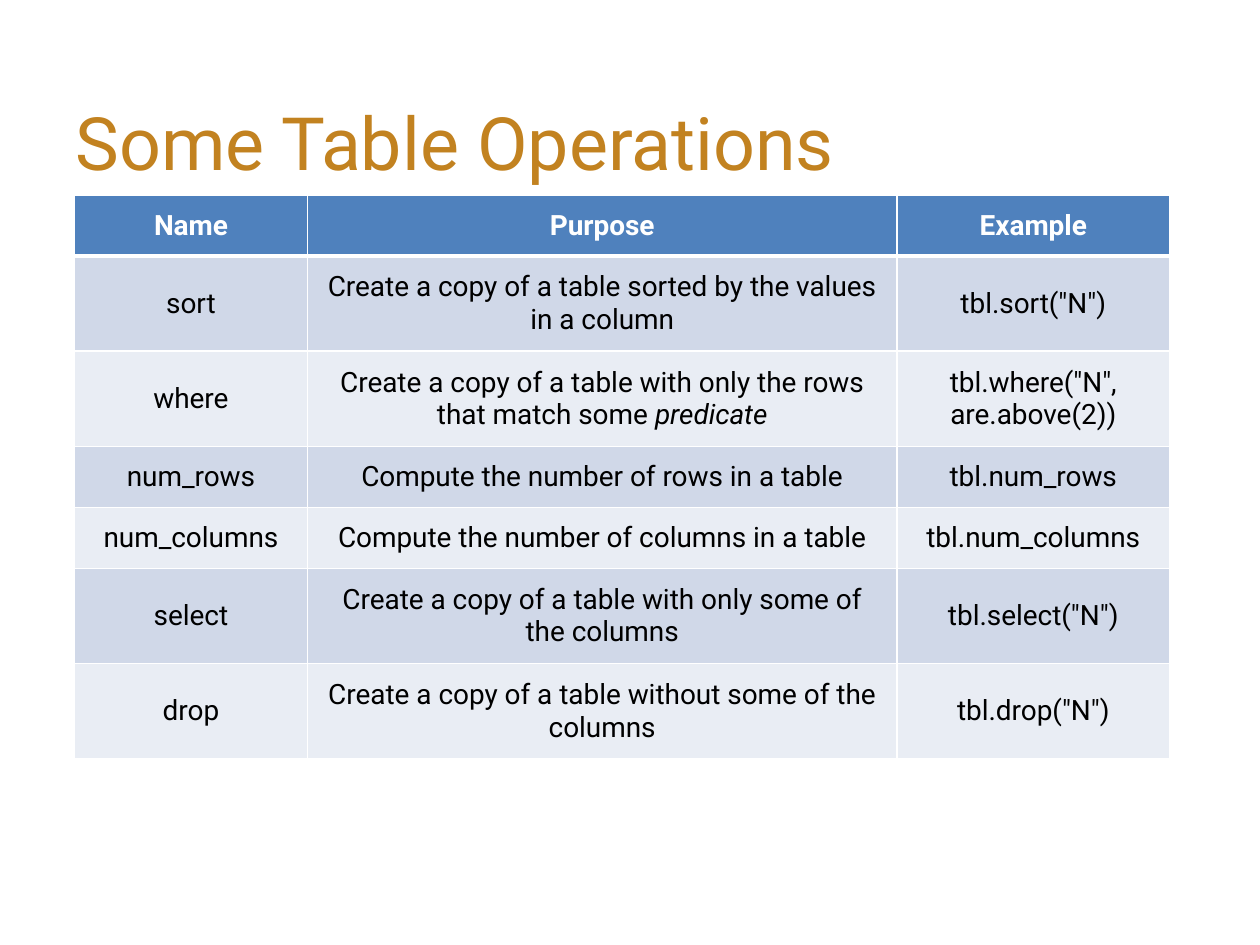
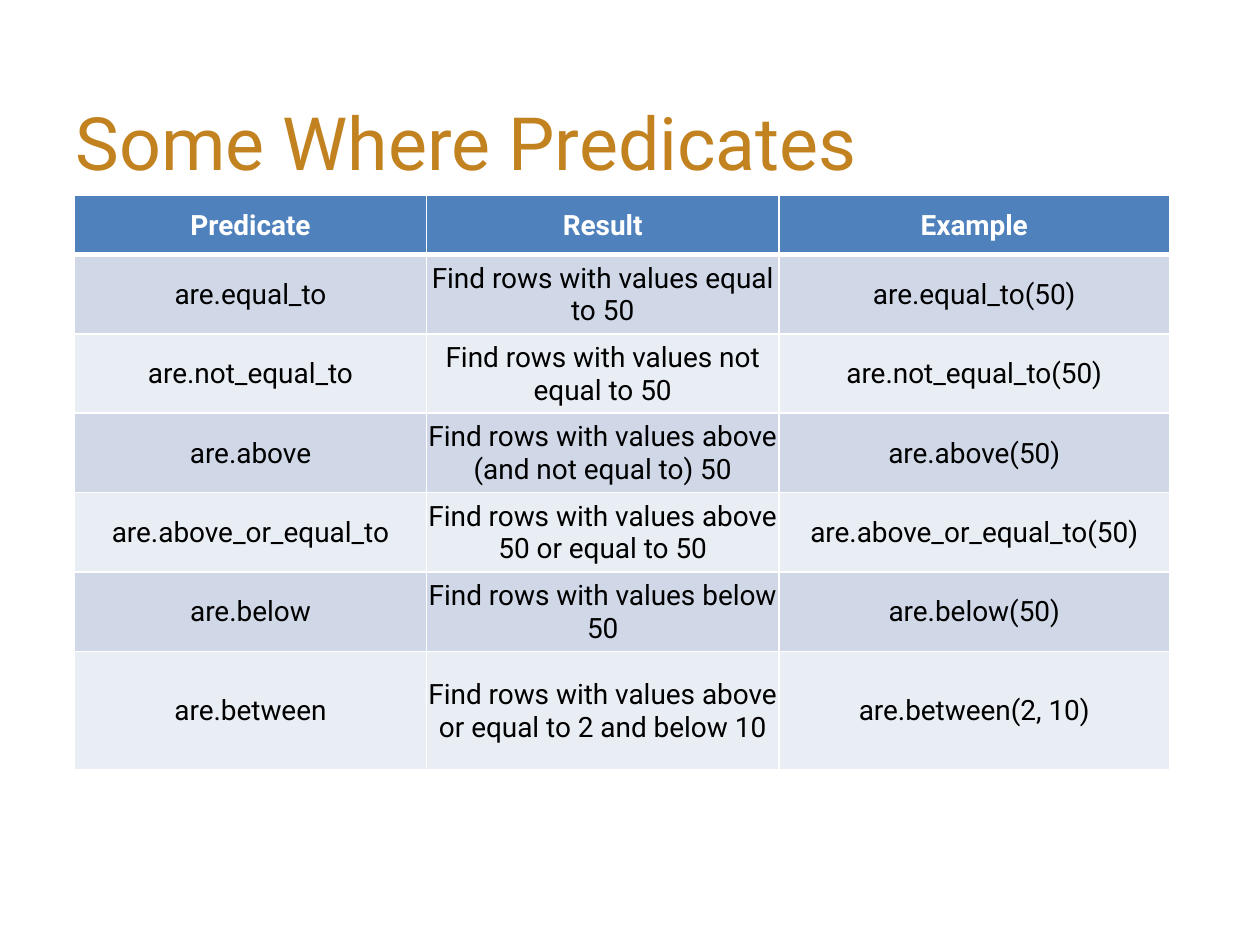
"""Build two reference slides on table operations and where predicates."""
from dataclasses import dataclass

from lxml.etree import SubElement
from pptx import Presentation
from pptx.dml.color import RGBColor
from pptx.enum.text import MSO_ANCHOR as Anchor, MSO_AUTO_SIZE as AutoSize, PP_ALIGN as Align
from pptx.oxml.ns import qn
from pptx.util import Cm, Pt


@dataclass(frozen=True)
class Theme:
    font: str = "Roboto"
    title_size: int = 42
    cell_size: int = 16
    title: str = "C28220"
    header: str = "4F81BD"
    header_text: str = "FFFFFF"
    body_text: str = "000000"
    bands: tuple[str, str] = ("D0D8E8", "E9EDF4")
    border: str = "FFFFFF"
    border_width: int = 1
    header_rule: int = 3


@dataclass(frozen=True)
class Reference:
    title: str
    widths: tuple[float, ...]
    heights: tuple[float, ...]
    rows: tuple[tuple[str, str, str], ...]
    margins: tuple[float, float, float, float]


THEME = Theme()

OPERATIONS = Reference(
    "Some Table Operations",
    widths=(4.7, 11.88, 5.5),
    heights=(1.22, 1.92, 1.92, 1.23, 1.23, 1.92, 1.92),
    margins=(0.25, 0.13, 0.25, 0.13),
    rows=(
        ("Name", "Purpose", "Example"),
        ("sort", "Create a copy of a table sorted by the values in a column", 'tbl.sort("N")'),
        ("where", "Create a copy of a table with only the rows that match some *predicate*",
         'tbl.where("N", are.above(2))'),
        ("num_rows", "Compute the number of rows in a table", "tbl.num_rows"),
        ("num_columns", "Compute the number of columns in a table", "tbl.num_columns"),
        ("select", "Create a copy of a table with only some of the columns", 'tbl.select("N")'),
        ("drop", "Create a copy of a table without some of the columns", 'tbl.drop("N")'),
    ),
)

PREDICATES = Reference(
    "Some Where Predicates",
    widths=(7.1, 7.1, 7.88),
    heights=(1.19, *[1.6] * 5, 2.39),
    margins=(0.03, 0.03, 0.03, 0),
    rows=(
        ("Predicate", "Result", "Example"),
        ("are.equal_to", "Find rows with values equal to 50", "are.equal_to(50)"),
        ("are.not_equal_to", "Find rows with values not equal to 50", "are.not_equal_to(50)"),
        ("are.above", "Find rows with values above (and not equal to) 50", "are.above(50)"),
        ("are.above_or_equal_to", "Find rows with values above 50 or equal to 50",
         "are.above_or_equal_to(50)"),
        ("are.below", "Find rows with values below 50", "are.below(50)"),
        ("are.between", "Find rows with values above or equal to 2 and below 10",
         "are.between(2, 10)"),
    ),
)


def style_font(font, size: int, color: str, bold: bool = False) -> None:
    font.name, font.size, font.bold = THEME.font, Pt(size), bold
    font.color.rgb = RGBColor.from_string(color)


def add_title(page, text: str) -> None:
    box = page.shapes.title
    box.left, box.top, box.width, box.height = Cm(1.27), Cm(1.24), Cm(23), Cm(3.2)
    frame = box.text_frame
    frame.text = text
    frame.auto_size = AutoSize.NONE
    frame.vertical_anchor = Anchor.MIDDLE
    para = frame.paragraphs[0]
    para.alignment = Align.LEFT
    style_font(para.font, THEME.title_size, THEME.title)


def add_borders(cell, bottom: int) -> None:
    properties = cell._tc.get_or_add_tcPr()
    for side in ("L", "R", "T", "B"):
        width = bottom if side == "B" else THEME.border_width
        line = SubElement(properties, qn(f"a:ln{side}"), w=str(Pt(width)))
        fill = SubElement(line, qn("a:solidFill"))
        SubElement(fill, qn("a:srgbClr"), val=THEME.border)


def fill_cell(cell, text: str, row: int, margins: tuple[float, ...]) -> None:
    is_header = row == 0
    add_borders(cell, THEME.header_rule if is_header else THEME.border_width)
    cell.fill.solid()
    cell.fill.fore_color.rgb = RGBColor.from_string(
        THEME.header if is_header else THEME.bands[(row - 1) % 2])
    cell.vertical_anchor = Anchor.MIDDLE
    cell.margin_left, cell.margin_top, cell.margin_right, cell.margin_bottom = map(Cm, margins)
    para = cell.text_frame.paragraphs[0]
    para.alignment = Align.CENTER
    style_font(para.font, THEME.cell_size,
               THEME.header_text if is_header else THEME.body_text, is_header)
    for index, part in enumerate(text.split("*")):
        if part:
            span = para.add_run()
            span.text = part
            if index % 2:
                span.font.italic = True


def add_reference(deck, reference: Reference) -> None:
    page = deck.slides.add_slide(deck.slide_layouts[5])
    add_title(page, reference.title)
    table = page.shapes.add_table(
        len(reference.rows), len(reference.widths), Cm(1.5), Cm(3.94),
        Cm(sum(reference.widths)), Cm(sum(reference.heights))).table
    for column, width in zip(table.columns, reference.widths):
        column.width = Cm(width)
    for row, height in zip(table.rows, reference.heights):
        row.height = Cm(height)
    for row, texts in enumerate(reference.rows):
        for column, text in enumerate(texts):
            fill_cell(table.cell(row, column), text, row, reference.margins)


def main() -> None:
    deck = Presentation()
    deck.slide_width, deck.slide_height = Cm(25.4), Cm(19.05)
    for reference in (OPERATIONS, PREDICATES):
        add_reference(deck, reference)
    deck.save("out.pptx")


if __name__ == "__main__":
    main()
